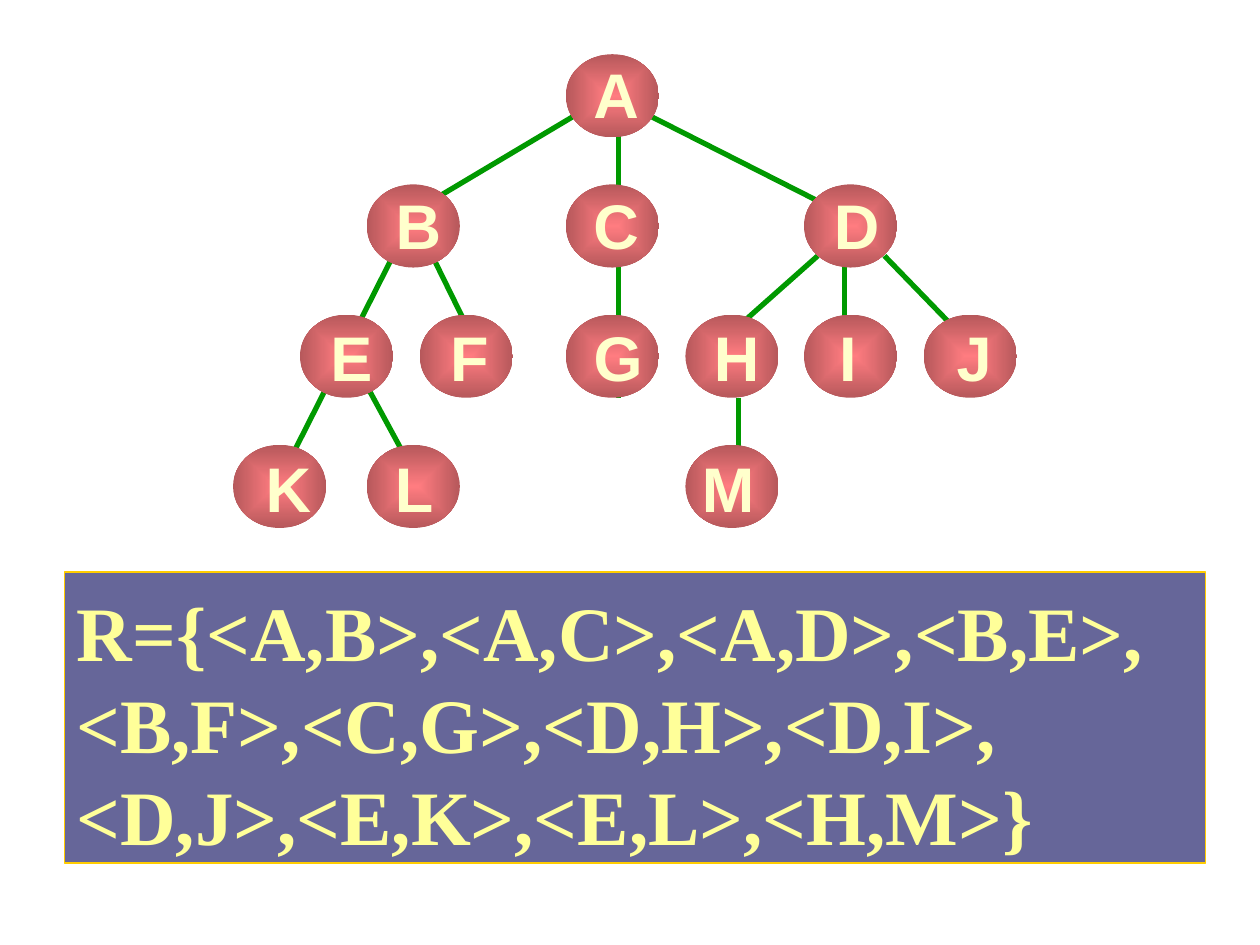
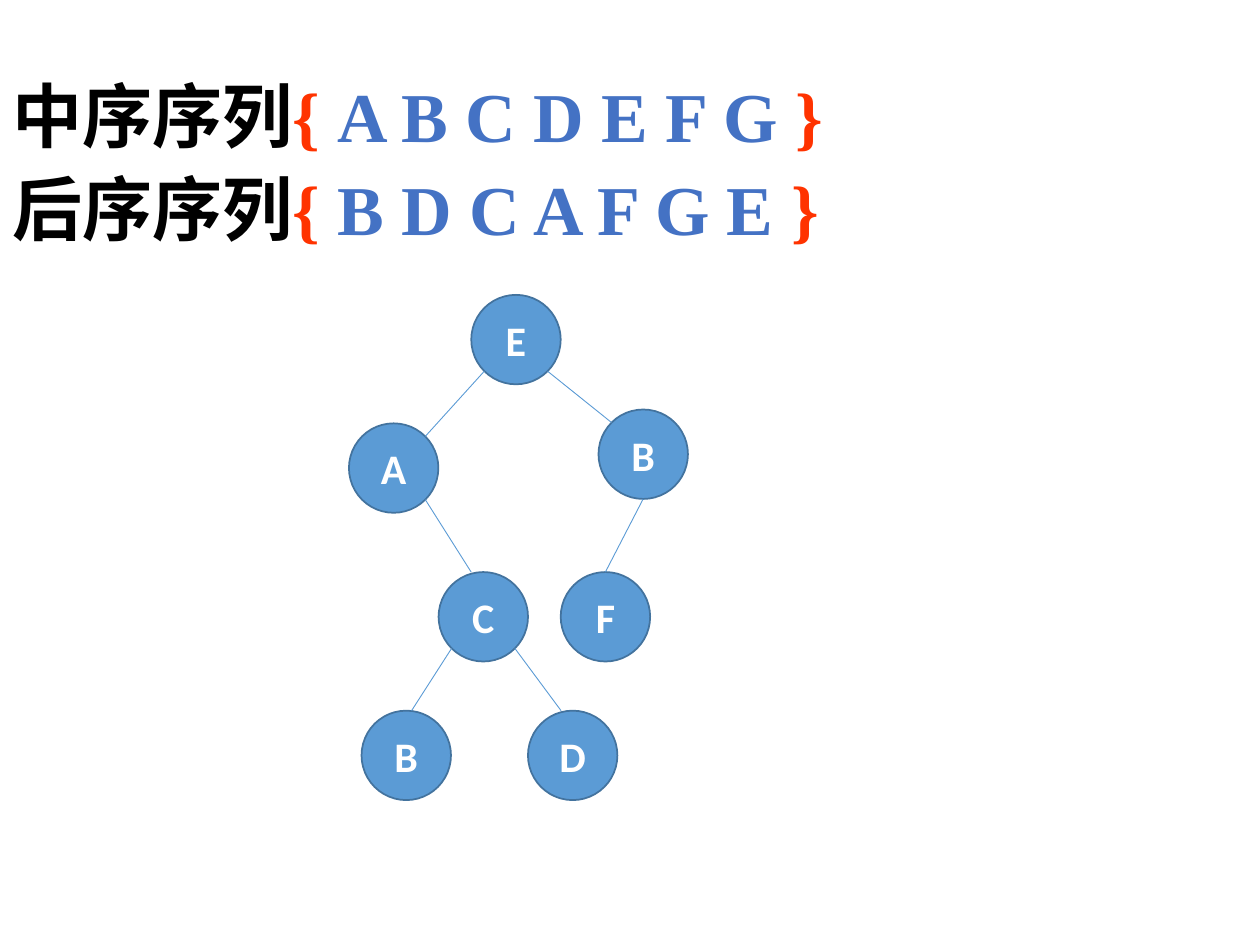
from lxml import etree
from pptx import Presentation
from pptx.dml.color import RGBColor
from pptx.enum import shapes, text
from pptx.oxml import parse_xml
from pptx.oxml import ns
from pptx.util import Pt

COLORS = {
    "bar": "666699", "bar_line": "FFCC00", "bar_text": "FFFF99",
    "branch": "009900", "ball": "FF7C80", "ball_text": "FFFFCC",
    "circle": "5B9BD5", "circle_line": "43739E", "white": "FFFFFF",
    "black": "000000", "brace": "FF3300", "sequence": "4472C4",
}
SERIF, SANS, BODY = "Times New Roman", "Arial", "Calibri"


def rgb(name):
    return RGBColor.from_string(COLORS[name])


class Deck:
    """Holds the shared style and the current slide."""

    def __init__(self):
        self.prs = Presentation()
        self.prs.slide_width, self.prs.slide_height = Pt(720), Pt(540)

    def new_slide(self, layout):
        self.s = self.prs.slides.add_slide(self.prs.slide_layouts[layout])
        self.shapes = self.s.shapes

    def start_group(self):
        self.shapes = self.s.shapes.add_group_shape().shapes

    def font(self, r, name, size, color):
        f = r.font
        f.name, f.size, f.bold = name, Pt(size), True
        f.color.rgb = rgb(color)

    def fill_text(self, tf, lines, name, size, color, align, anchor):
        tf.text = lines
        tf.vertical_anchor = anchor
        for p in tf.paragraphs:
            p.alignment = align
            for r in p.runs:
                self.font(r, name, size, color)

    def title(self, x, y, w, h, lines):
        sp = self.s.shapes.title
        sp.left, sp.top, sp.width, sp.height = map(Pt, (x, y, w, h))
        tf = sp.text_frame
        tf.auto_size = text.MSO_AUTO_SIZE.NONE
        tf.vertical_anchor = text.MSO_ANCHOR.TOP
        for i, runs in enumerate(lines):
            p = tf.add_paragraph() if i else tf.paragraphs[0]
            p.alignment, p.line_spacing = text.PP_ALIGN.LEFT, 0.9
            p.space_before = Pt(10 if i else 0)
            for words, color in runs:
                r = p.add_run()
                r.text = words
                self.font(r, SERIF, 40, color)

    def shape(self, kind, x, y, w, h, fill=None, line=None, width=1):
        sp = self.shapes.add_shape(kind, Pt(x), Pt(y), Pt(w), Pt(h))
        sp.shadow.inherit = False
        if fill:
            sp.fill.solid()
            sp.fill.fore_color.rgb = rgb(fill)
        if line:
            sp.line.color.rgb = rgb(line)
            sp.line.width = Pt(width)
        else:
            sp.line.fill.background()
        return sp

    def bar(self, x, y, w, h, lines):
        sp = self.shape(shapes.MSO_SHAPE.RECTANGLE, x, y, w, h,
                        "bar", "bar_line", 0.75)
        tf = sp.text_frame
        self.fill_text(tf, lines, SERIF, 44, "bar_text",
                       text.PP_ALIGN.LEFT, text.MSO_ANCHOR.TOP)
        tf.margin_top = Pt(7.2)
        for p in tf.paragraphs:
            p.line_spacing = Pt(52.6)

    def ball(self, x, y, w, h):
        """Oval shaded from a bright centre to a dark rim."""
        sp = self.shape(shapes.MSO_SHAPE.OVAL, x, y, w, h)
        sp.fill.background()
        old = sp._element.spPr.find(ns.qn("a:noFill"))
        grad = parse_xml(
            f'<a:gradFill {ns.nsdecls("a")} rotWithShape="1"><a:gsLst>'
            f'<a:gs pos="0"><a:srgbClr val="{COLORS["ball"]}"/></a:gs>'
            f'<a:gs pos="100000"><a:srgbClr val="{COLORS["ball"]}">'
            '<a:shade val="46275"/></a:srgbClr></a:gs></a:gsLst>'
            '<a:path path="shape"><a:fillToRect l="50000" t="50000" '
            'r="50000" b="50000"/></a:path></a:gradFill>')
        sp._element.spPr.replace(old, grad)

    def label(self, x, y, w, h, letter):
        sp = self.shapes.add_textbox(Pt(x), Pt(y), Pt(w), Pt(h))
        tf = sp.text_frame
        self.fill_text(tf, letter, SANS, 36, "ball_text",
                       text.PP_ALIGN.CENTER, text.MSO_ANCHOR.MIDDLE)
        tf.word_wrap = False

    def circle(self, x, y, size, letter):
        sp = self.shape(shapes.MSO_SHAPE.OVAL, x, y, size, size,
                        "circle", "circle_line")
        self.fill_text(sp.text_frame, letter, BODY, 24, "white",
                       text.PP_ALIGN.CENTER, text.MSO_ANCHOR.MIDDLE)

    def line(self, x1, y1, x2, y2, color, width):
        c = self.shapes.add_connector(shapes.MSO_CONNECTOR.STRAIGHT,
                                      Pt(x1), Pt(y1), Pt(x2), Pt(y2))
        c.line.color.rgb = rgb(color)
        c.line.width = Pt(width)
        etree.SubElement(c._element.spPr, ns.qn("a:effectLst"))


def relation_slide(d):
    d.new_slide(6)
    # Relation set
    d.bar(36.7, 326.9, 652.3, 166.3,
          "R={<A,B>,<A,C>,<A,D>,<B,E>,\n<B,F>,<C,G>,<D,H>,<D,I>,\n"
          "<D,J>,<E,K>,<E,L>,<H,M>}")

    # Branches, behind the nodes
    d.start_group()
    branches = [
        (505.4, 146.2, 550.8, 193), (467.3, 146.2, 421.9, 186.5),
        (482.4, 152.6, 482.4, 186.5), (421.9, 227.5, 421.9, 267.8),
        (368.6, 64.8, 475.2, 118.8), (330.5, 64.8, 239.8, 118.8),
        (353.5, 71.3, 353.5, 227.5), (247, 146.2, 270, 193),
        (209.5, 220.3, 231.8, 261.4), (224.6, 146.2, 156.2, 281.5),
    ]
    for ends in branches:
        d.line(*ends, "branch", 3)

    # Nodes: letter, left, level, label left, label width
    nodes = [
        ("A", 323.3, 0, 331.9, 40.3), ("B", 209.5, 1, 218.9, 40.3),
        ("C", 323.3, 1, 331.9, 40.3), ("D", 459.4, 1, 469.4, 40.3),
        ("E", 171.4, 2, 181.4, 38.9), ("F", 239.8, 2, 249.8, 36.7),
        ("G", 323.3, 2, 331.9, 42.5), ("H", 391.7, 2, 398.2, 45.4),
        ("I", 459.4, 2, 472.3, 24.5), ("J", 527.8, 2, 539.3, 34.6),
        ("K", 133.2, 3, 144.7, 40.3), ("L", 209.5, 3, 218.2, 36.7),
        ("M", 391.7, 3, 393.8, 44.6),
    ]
    for _, x, level, _, _ in nodes:
        d.ball(x, 31 + 74.4 * level, 53.3, 47.5)
    for letter, _, level, x, w in nodes:
        d.label(x, 28.1 + 75.1 * level, w, 50.4, letter)


def traversal_slide(d):
    d.new_slide(5)
    # Two traversal sequences
    d.title(0, 43.2, 720, 124.6, [
        [("中序序列", "black"), ("{ ", "brace"),
         ("A B C D E F G ", "sequence"), ("}", "brace")],
        [("后序序列", "black"), ("{ ", "brace"),
         ("B D C A F G E", "sequence"), (" }", "brace")],
    ])

    # Nodes: letter, left, top
    d.start_group()
    size = 51.1
    nodes = {
        "root": ("E", 269.3, 168.5), "left": ("A", 199.4, 241.9),
        "right": ("B", 342, 234), "middle": ("C", 250.6, 326.9),
        "low left": ("B", 206.6, 406.1), "low right": ("D", 301.7, 406.1),
        "right leaf": ("F", 320.4, 326.9),
    }
    for letter, x, y in nodes.values():
        d.circle(x, y, size, letter)

    # Branches: each end is given in radii from the node's centre
    def point(node, dx, dy):
        _, x, y = nodes[node]
        return x + size / 2 * (1 + dx), y + size / 2 * (1 + dy)

    k = 0.71
    branches = [
        ("root", (-k, k), "left", (k, -k)),
        ("root", (k, k), "right", (-k, -k)),
        ("left", (k, k), "middle", (-0.27, -1)),
        ("middle", (-k, k), "low left", (0.12, -1)),
        ("middle", (k, k), "low right", (-0.26, -1)),
        ("right", (0, 1), "right leaf", (0, -1)),
    ]
    for parent, start, child, end in branches:
        d.line(*point(parent, *start), *point(child, *end), "circle", 0.5)


def main():
    d = Deck()
    relation_slide(d)
    traversal_slide(d)
    d.prs.save("out.pptx")


if __name__ == "__main__":
    main()
